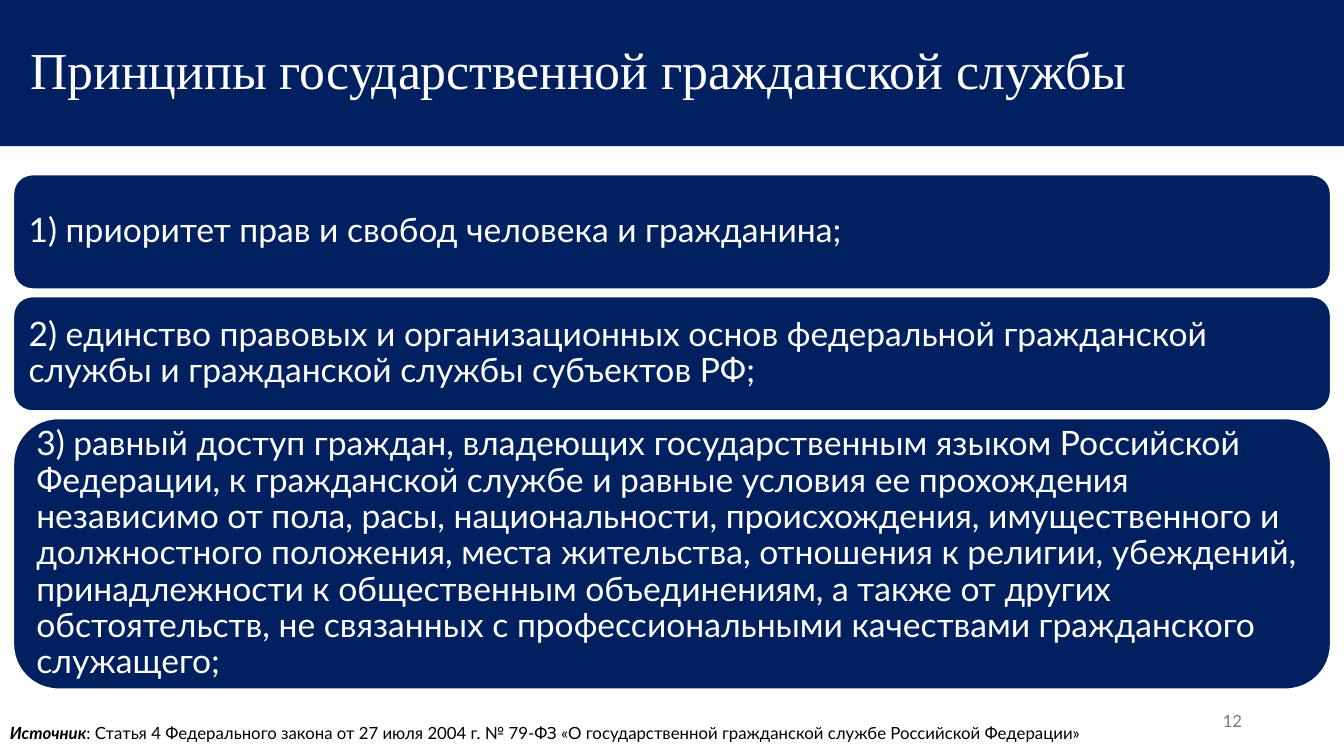
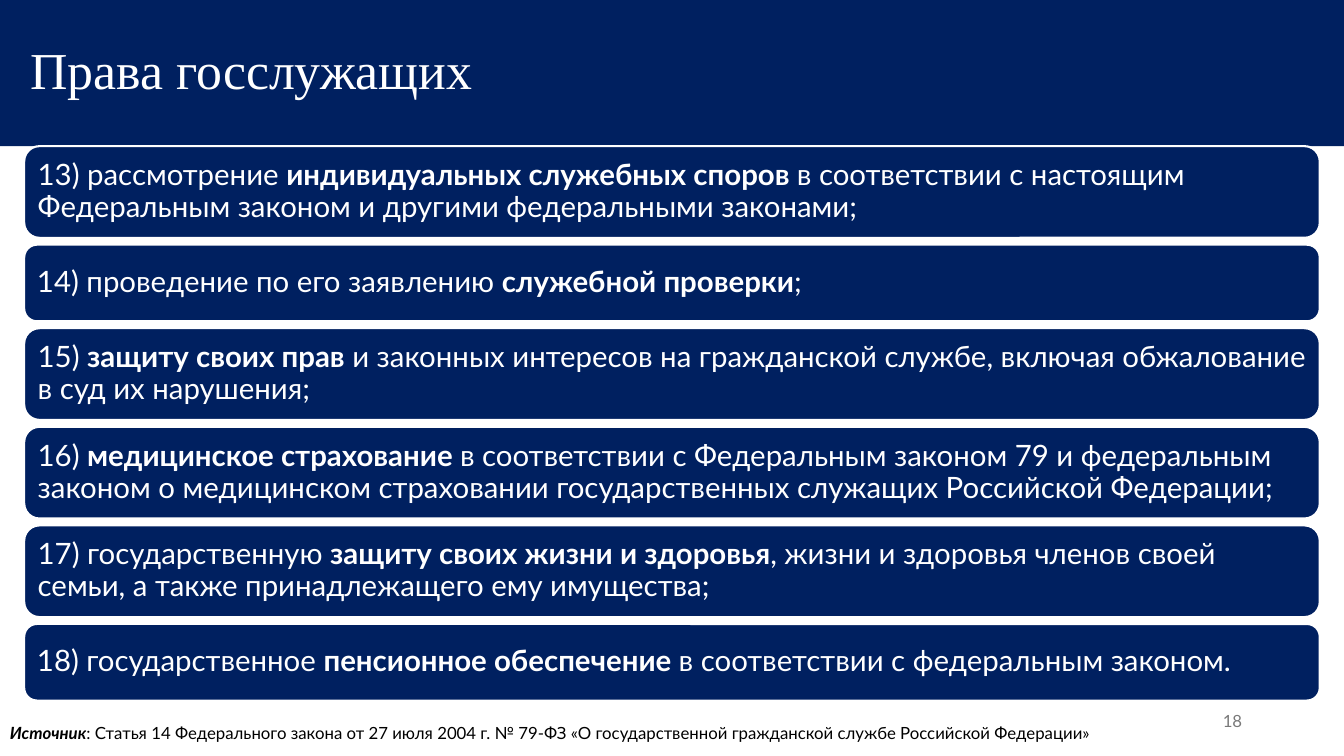
from dataclasses import dataclass
from pptx import Presentation, util as u
from pptx.dml.color import RGBColor
from pptx.enum import shapes, text


@dataclass(frozen=True)
class Theme:
    navy = RGBColor(0x00, 0x20, 0x60)
    white = RGBColor(0xFF, 0xFF, 0xFF)
    black = RGBColor(0x00, 0x00, 0x00)
    grey = RGBColor(0x79, 0x79, 0x79)
    title_font = "Times New Roman"
    body_font = "Lato"
    title_size = 37
    small_size = 12
    border = 1.5
    leading = 0.9


theme = Theme()
prs = Presentation()
prs.slide_width, prs.slide_height = u.Inches(13.33), u.Inches(7.5)


def area(x, y, w, h):
    cw, rh = prs.slide_width / 100, prs.slide_height / 100
    return [u.Emu(round(v)) for v in (x * cw, y * rh, w * cw, h * rh)]


def write(tf, marked, font, size, color, italic=False, align=text.PP_ALIGN.LEFT,
          anchor=text.MSO_ANCHOR.MIDDLE, leading=None):
    tf.word_wrap = True
    tf.auto_size = text.MSO_AUTO_SIZE.NONE
    tf.vertical_anchor = anchor
    p = tf.paragraphs[0]
    p.alignment = align
    p.line_spacing = leading
    p.font.name, p.font.size = font, u.Pt(size)
    p.font.color.rgb = color
    for i, part in enumerate(marked.split("*")):
        if part:
            r = p.add_run()
            r.text = part
            if i % 2:
                r.font.bold = True
                r.font.italic = italic or None


LAW = "Федерального закона от 27 июля 2004 г. № 79-ФЗ «О государственной гражданской службе Российской Федерации»"
TITLE_HEIGHT = 19.33

slides = [
    dict(
        title="Принципы государственной гражданской службы",
        number="12", article="4", size=24, inset=0.1,
        side=0.98, top=23.07, bottom=91.2,
        items=[
            (15.2, "1) приоритет прав и свобод человека и гражданина;"),
            (15.2, "2) единство правовых и организационных основ федеральной гражданской "
                   "службы и гражданской службы субъектов РФ;"),
            (35.87, "3) равный доступ граждан, владеющих государственным языком Российской "
                    "Федерации, к гражданской службе и равные условия ее прохождения "
                    "независимо от пола, расы, национальности, происхождения, имущественного и "
                    "должностного положения, места жительства, отношения к религии, убеждений, "
                    "принадлежности к общественным объединениям, а также от других "
                    "обстоятельств, не связанных с профессиональными качествами гражданского "
                    "служащего;"),
        ],
    ),
    dict(
        title="Права госслужащих",
        number="18", article="14", size=21, inset=0.09,
        side=1.8, top=TITLE_HEIGHT, bottom=92.67,
        items=[
            (12.13, "13) рассмотрение *индивидуальных служебных споров *в соответствии с "
                    "настоящим Федеральным законом и другими федеральными законами;"),
            (10.13, "14) проведение по его заявлению *служебной проверки*;"),
            (12.13, "15) *защиту своих прав* и законных интересов на гражданской службе, "
                    "включая обжалование в суд их нарушения;"),
            (12.13, "16) *медицинское страхование *в соответствии с Федеральным законом 79 и "
                    "федеральным законом о медицинском страховании государственных служащих "
                    "Российской Федерации;"),
            (12.13, "17) государственную *защиту своих жизни и здоровья*, жизни и здоровья "
                    "членов своей семьи, а также принадлежащего ему имущества;"),
            (10.13, "18) государственное *пенсионное обеспечение *в соответствии с "
                    "федеральным законом."),
        ],
    ),
]

for data in slides:
    s = prs.slides.add_slide(prs.slide_layouts[5])

    sp = s.shapes.title
    sp.left, sp.top, sp.width, sp.height = area(0, 0, 100, TITLE_HEIGHT)
    sp.fill.solid()
    sp.fill.fore_color.rgb = theme.navy
    sp.text_frame.margin_left = u.Inches(0.3)
    write(sp.text_frame, data["title"], theme.title_font, theme.title_size,
          theme.white, leading=theme.leading)

    sp = s.shapes.add_textbox(*area(70.67, 92.67, 22.5, 5.33))
    write(sp.text_frame, data["number"], theme.body_font, theme.small_size,
          theme.grey, align=text.PP_ALIGN.RIGHT)

    sp = s.shapes.add_textbox(*area(0, 94.93, 100, 4))
    write(sp.text_frame, f"*Источник*: Статья {data['article']} {LAW}", theme.body_font,
          theme.small_size, theme.black, italic=True, anchor=text.MSO_ANCHOR.TOP)

    items, y = data["items"], data["top"]
    gap = (data["bottom"] - y - sum(h for h, _ in items)) / (len(items) - 1)
    for h, item in items:
        sp = s.shapes.add_shape(shapes.MSO_SHAPE.ROUNDED_RECTANGLE,
                                *area(data["side"], y, 100 - 2 * data["side"], h))
        sp.shadow.inherit = False
        sp.fill.solid()
        sp.fill.fore_color.rgb = theme.navy
        sp.line.color.rgb = theme.white
        sp.line.width = u.Pt(theme.border)
        tf = sp.text_frame
        tf.margin_left = tf.margin_right = u.Inches(data["inset"])
        tf.margin_top = tf.margin_bottom = u.Inches(data["inset"])
        write(tf, item, theme.body_font, data["size"], theme.white, leading=theme.leading)
        y += h + gap

prs.save("out.pptx")
